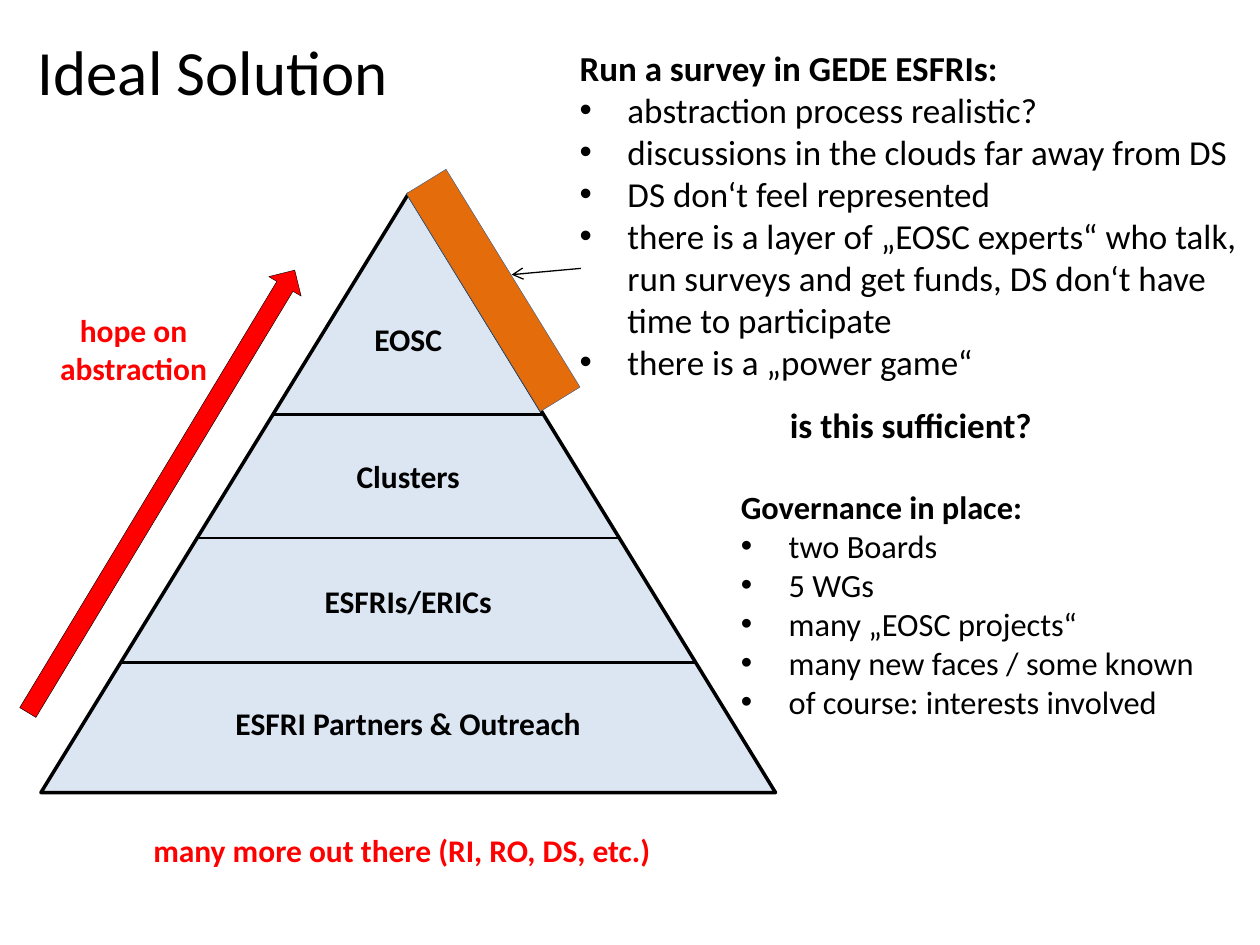
from pptx import Presentation
from pptx.dml.color import RGBColor
from pptx.enum.shapes import MSO_CONNECTOR as LINK, MSO_SHAPE as SHAPE
from pptx.enum.text import MSO_ANCHOR as ANCHOR, MSO_AUTO_SIZE as FIT, PP_ALIGN as ALIGN
from pptx.oxml.xmlchemy import OxmlElement
from pptx.util import Inches, Pt

BLACK, RED, ORANGE, PALE_BLUE, SLATE = "000000", "FF0000", "E46C0A", "DCE6F2", "3A5F8C"
APEX_X, APEX_Y, BASE_WIDTH, HEIGHT = 3.24, 1.54, 5.83, 4.75
DIVIDER_TOPS = (3.29, 4.27, 5.26)
LAYERS = (
    ("EOSC", 2.49, 0.74),
    ("Clusters", 3.58, 1.03),
    ("ESFRIs/ERICs", 4.57, 1.54),
    ("ESFRI Partners & Outreach", 5.54, 2.97),
)
SURVEY = (
    "abstraction process realistic?",
    "discussions in the clouds far away from DS",
    "DS don‘t feel represented",
    "there is a layer of „EOSC experts“ who talk, run surveys and get funds, "
    "DS don‘t have time to participate",
    "there is a „power game“",
)
GOVERNANCE = (
    "two Boards",
    "5 WGs",
    "many „EOSC projects“",
    "many new faces / some known",
    "of course: interests involved",
)


def rgb(color):
    """Turn a hex string into a colour."""
    return RGBColor.from_string(color)


def apply(target, values):
    """Set each attribute in values on target."""
    for name, value in values.items():
        setattr(target, name, value)


def place(holder, left, top, width, height):
    """Move and size a placeholder, given inches."""
    apply(holder, {"left": Inches(left), "top": Inches(top),
                   "width": Inches(width), "height": Inches(height)})


def style_text(paragraph, size, color=BLACK, bold=False):
    """Format the font of a paragraph's runs."""
    for run in paragraph.runs:
        apply(run.font, {"name": "Calibri", "size": Pt(size), "bold": bold})
        run.font.color.rgb = rgb(color)


def add_line(shapes, start, end, weight):
    """Draw a straight black line without shadow."""
    line = shapes.add_connector(LINK.STRAIGHT, *map(Inches, start + end))
    line.line.color.rgb = rgb(BLACK)
    line.line.width = Pt(weight)
    line._element.spPr.append(OxmlElement("a:effectLst"))
    return line


def add_figure(shapes, preset, box, fill, outline, weight, rotation=0):
    """Draw a filled and outlined preset shape."""
    figure = shapes.add_shape(preset, *map(Inches, box))
    figure.rotation = rotation
    figure.shadow.inherit = False
    figure.fill.solid()
    figure.fill.fore_color.rgb = rgb(fill)
    figure.line.color.rgb = rgb(outline)
    figure.line.width = Pt(weight)


def add_label(shapes, lines, box, color=BLACK):
    """Add a centred bold label that does not wrap."""
    frame = shapes.add_textbox(*map(Inches, box)).text_frame
    apply(frame, {"word_wrap": False, "auto_size": FIT.SHAPE_TO_FIT_TEXT,
                  "text": "\n".join(lines)})
    for paragraph in frame.paragraphs:
        paragraph.alignment = ALIGN.CENTER
        style_text(paragraph, 18, color, True)


def add_pyramid(slide):
    """Build the layered pyramid as one group."""
    shapes = slide.shapes.add_group_shape().shapes
    add_figure(shapes, SHAPE.ISOSCELES_TRIANGLE,
               (APEX_X - BASE_WIDTH / 2, APEX_Y, BASE_WIDTH, HEIGHT), PALE_BLUE, BLACK, 2)
    for top in DIVIDER_TOPS:
        reach = BASE_WIDTH / 2 * (top - APEX_Y) / HEIGHT
        add_line(shapes, (APEX_X - reach, top), (APEX_X + reach, top), 1.5)
    for name, top, width in LAYERS:
        add_label(shapes, [name], (APEX_X - width / 2, top, width, 0.4))


def fill_list(holder, box, heading, items, size, closing=None):
    """Write a heading, bullets and an optional closing line."""
    place(holder, *box)
    frame = holder.text_frame
    apply(frame, {"text": "\n".join((heading, *items) + ((closing,) if closing else ())),
                  "auto_size": FIT.NONE, "vertical_anchor": ANCHOR.MIDDLE, "word_wrap": True})
    for paragraph in frame.paragraphs:
        is_bullet = paragraph.text in items
        paragraph.space_before = Pt(0)
        style_text(paragraph, size, bold=not is_bullet)
        indent = Inches(0.38) if is_bullet else 0
        properties = paragraph._p.get_or_add_pPr()
        properties.set("marL", str(indent))
        properties.set("indent", str(-indent))
        if not is_bullet:
            properties.append(OxmlElement("a:buNone"))
    if closing:
        apply(frame.paragraphs[-1], {"alignment": ALIGN.CENTER, "space_before": Pt(12)})


def add_pointer(slide):
    """Point from the survey list to the expert layer."""
    pointer = add_line(slide.shapes, (4.61, 2.13), (4.06, 2.18), 0.75)
    head = OxmlElement("a:tailEnd")
    head.set("type", "arrow")
    pointer.line._get_or_add_ln().append(head)


def main():
    """Build and save the slide."""
    deck = Presentation()
    apply(deck, {"slide_width": Inches(10), "slide_height": Inches(7.5)})
    slide = deck.slides.add_slide(deck.slide_layouts[3])
    title, survey, governance = list(slide.placeholders)[:3]

    place(title, 0.2, 0.13, 5.51, 0.85)
    apply(title.text_frame, {"text": "Ideal Solution", "vertical_anchor": ANCHOR.MIDDLE,
                             "auto_size": FIT.NONE})
    title.text_frame.paragraphs[0].alignment = ALIGN.LEFT
    style_text(title.text_frame.paragraphs[0], 36)

    fill_list(survey, (4.5, 0.4, 5.46, 3.1), "Run a survey in GEDE ESFRIs:", SURVEY, 20,
              "is this sufficient?")
    fill_list(governance, (5.78, 3.92, 4.19, 1.75), "Governance in place:", GOVERNANCE, 18.5)

    add_pyramid(slide)
    add_label(slide.shapes, ["many more out there (RI, RO, DS, etc.)"],
              (1.04, 6.55, 4.3, 0.4), RED)
    add_figure(slide.shapes, SHAPE.RECTANGLE, (2.9, 2.12, 2.03, 0.37), ORANGE, SLATE, 0.25, 58.4)
    add_pointer(slide)
    add_figure(slide.shapes, SHAPE.UP_ARROW, (1.13, 1.85, 0.3, 4.1), RED, BLACK, 0.25, 31.1)
    add_label(slide.shapes, ["hope on", "abstraction"], (0.37, 2.42, 1.38, 0.71), RED)
    deck.save("out.pptx")


if __name__ == "__main__":
    main()
